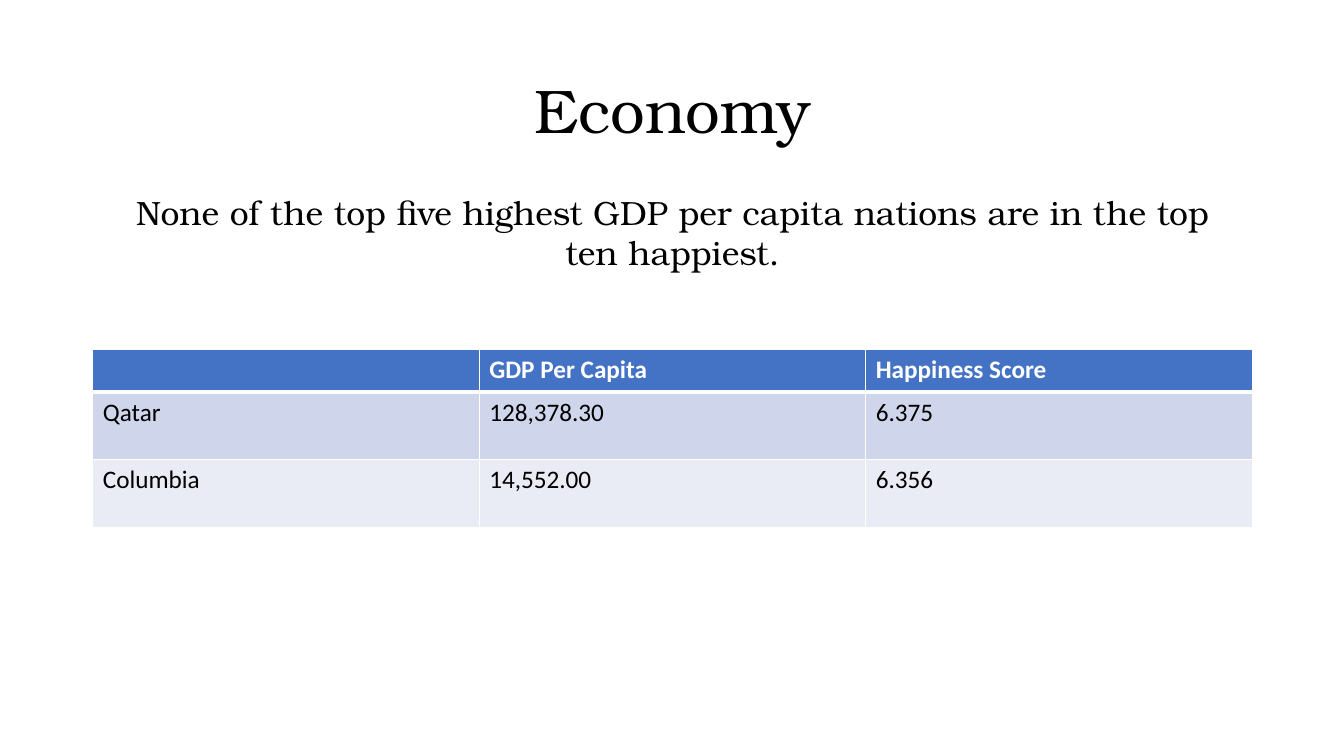
from lxml import etree
from pptx import Presentation
from pptx.dml.color import RGBColor
from pptx.enum.text import MSO_ANCHOR, PP_ALIGN
from pptx.oxml.ns import qn
from pptx.util import Inches, Pt

CENTER = PP_ALIGN.CENTER
TOP = MSO_ANCHOR.TOP
MIDDLE = MSO_ANCHOR.MIDDLE

COLORS = {
    "text": "000000",
    "white": "FFFFFF",
    "header": "4472C4",
    "band_dark": "CFD5EA",
    "band_light": "E9EBF5",
}

ROWS = [
    ["", "GDP Per Capita", "Happiness Score"],
    ["Qatar", "128,378.30", "6.375"],
    ["Columbia", "14,552.00", "6.356"],
]


class SlideBuilder:
    heading_font = "TeX Gyre Bonum"
    table_font = "Calibri"

    def __init__(self, page):
        self.page = page

    def add_span(self, para, text, font, size, color="text", bold=False):
        span = para.add_run()
        span.text = text
        span.font.name = font
        span.font.size = Pt(size)
        span.font.bold = bold
        span.font.color.rgb = RGBColor.from_string(COLORS[color])

    def add_text(self, text, left, top, width, height, size, anchor=TOP, spacing=1.0):
        box = self.page.shapes.add_textbox(
            Inches(left), Inches(top), Inches(width), Inches(height))
        frame = box.text_frame
        frame.word_wrap = True
        frame.vertical_anchor = anchor
        para = frame.paragraphs[0]
        para.alignment = CENTER
        para.line_spacing = spacing
        self.add_span(para, text, self.heading_font, size)

    def add_borders(self, cell, widths):
        properties = cell._tc.get_or_add_tcPr()
        for position, (side, width) in enumerate(widths.items()):
            line = etree.Element(qn(f"a:ln{side}"), w=str(Pt(width)))
            fill = etree.SubElement(line, qn("a:solidFill"))
            etree.SubElement(fill, qn("a:srgbClr"), val=COLORS["white"])
            properties.insert(position, line)

    def add_table(self, rows, left, top, width, heights):
        frame = self.page.shapes.add_table(
            len(rows), len(rows[0]), Inches(left), Inches(top),
            Inches(width), Inches(sum(heights)))
        table = frame.table
        fills = ["header", "band_dark", "band_light"]
        for row_index, (values, height, fill) in enumerate(zip(rows, heights, fills)):
            table.rows[row_index].height = Inches(height)
            is_header = row_index == 0
            widths = {"L": 1, "R": 1,
                      "T": 3 if row_index == 1 else 1,
                      "B": 3 if is_header else 1}
            for column_index, value in enumerate(values):
                cell = table.cell(row_index, column_index)
                cell.fill.solid()
                cell.fill.fore_color.rgb = RGBColor.from_string(COLORS[fill])
                self.add_borders(cell, widths)
                if value:
                    self.add_span(
                        cell.text_frame.paragraphs[0], value, self.table_font, 18,
                        "white" if is_header else "text", is_header)


def main():
    deck = Presentation()
    deck.slide_width = Inches(13.33)
    deck.slide_height = Inches(7.5)
    builder = SlideBuilder(deck.slides.add_slide(deck.slide_layouts[6]))
    builder.add_text("Economy", 0.92, 0.4, 11.5, 1.45, 44, MIDDLE, 0.9)
    builder.add_table(ROWS, 0.92, 3.47, 11.5, [0.42, 0.67, 0.67])
    builder.add_text(
        "None of the top five highest GDP per capita nations are in the top ten happiest.",
        1.25, 1.85, 10.84, 0.91, 24)
    deck.save("out.pptx")


if __name__ == "__main__":
    main()
